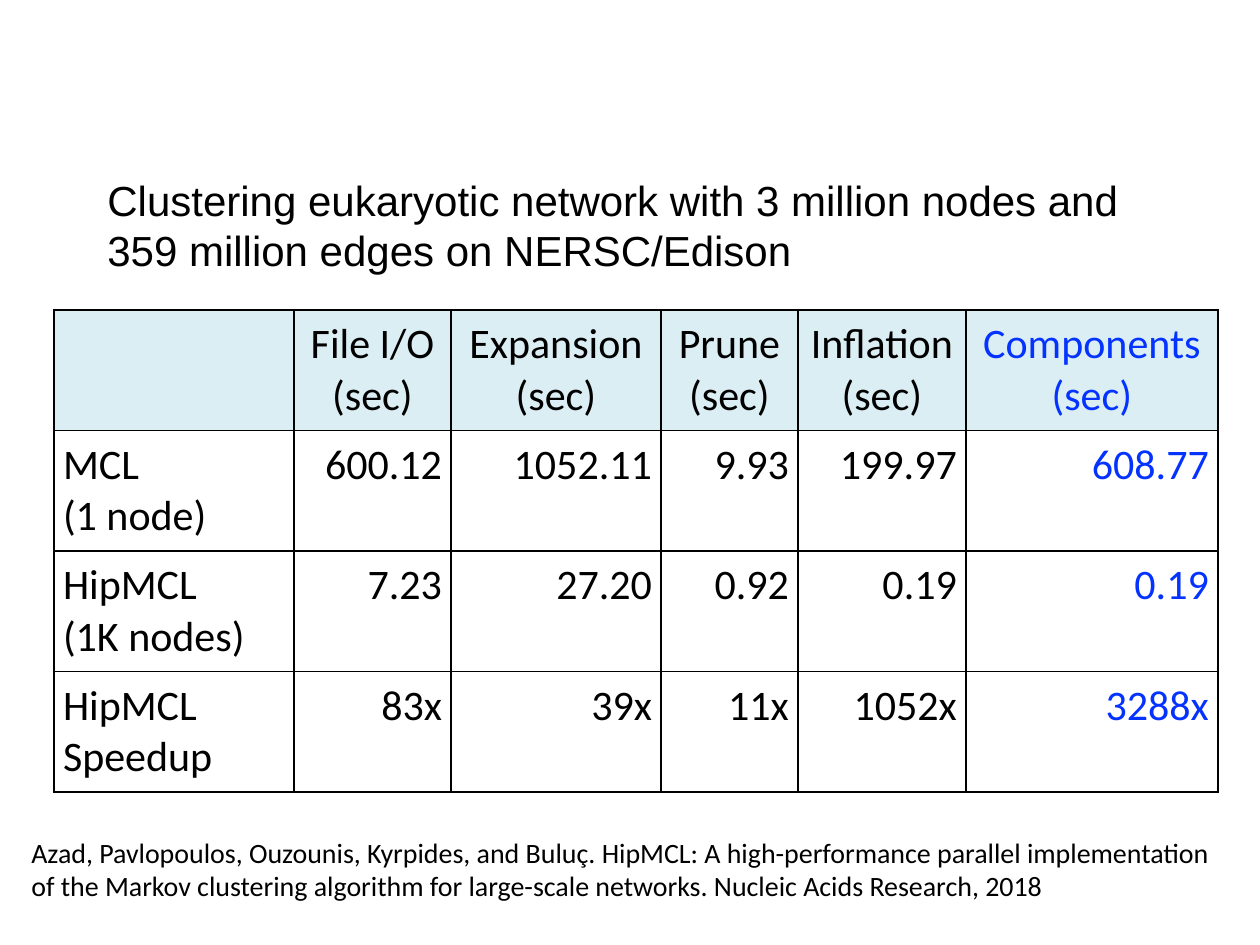
"""Build a slide with a table of clustering run times."""
from lxml.etree import SubElement
from pptx import Presentation
from pptx.dml.color import RGBColor
from pptx.enum.text import MSO_AUTO_SIZE, PP_ALIGN
from pptx.oxml.ns import qn
from pptx.util import Pt

SCALE = 914400 // 126
COLORS = {"text": "000000", "accent": "0432FF", "header": "DBEEF4", "body": "FFFFFF", "border": "000000"}


def write_text(text_frame, text, font_name, size, color="text", alignment=PP_ALIGN.LEFT):
    text_frame.text = text
    for paragraph in text_frame.paragraphs:
        paragraph.alignment = alignment
        paragraph.font.name = font_name
        paragraph.font.size = Pt(size)
        paragraph.font.color.rgb = RGBColor.from_string(COLORS[color])


def draw_borders(cell):
    properties = cell._tc.get_or_add_tcPr()
    for position, side in enumerate(("a:lnL", "a:lnR", "a:lnT", "a:lnB")):
        line = properties.makeelement(qn(side), {"w": str(Pt(1))})
        properties.insert(position, line)
        fill = SubElement(line, qn("a:solidFill"))
        SubElement(fill, qn("a:srgbClr"), val=COLORS["border"])


presentation = Presentation()
presentation.slide_width = 1260 * SCALE
presentation.slide_height = 945 * SCALE
slide = presentation.slides.add_slide(presentation.slide_layouts[6])

rows = [
    ["", "File I/O\n(sec)", "Expansion\n(sec)", "Prune\n(sec)", "Inflation\n(sec)", "Components\n(sec)"],
    ["MCL\n(1 node)", "600.12", "1052.11", "9.93", "199.97", "608.77"],
    ["HipMCL\n(1K nodes)", "7.23", "27.20", "0.92", "0.19", "0.19"],
    ["HipMCL Speedup", "83x", "39x", "11x", "1052x", "3288x"],
]
column_widths = [240, 157, 210, 137, 168, 252]
row_height = 120
table = slide.shapes.add_table(
    len(rows), len(column_widths), 54 * SCALE, 310 * SCALE,
    sum(column_widths) * SCALE, row_height * len(rows) * SCALE,
).table
table.first_row = False
table.horz_banding = False
for column, width in zip(table.columns, column_widths):
    column.width = width * SCALE

for row_index, row in enumerate(rows):
    for column_index, text in enumerate(row):
        cell = table.cell(row_index, column_index)
        cell.margin_left = cell.margin_right = cell.margin_top = cell.margin_bottom = 9 * SCALE
        cell.fill.solid()
        cell.fill.fore_color.rgb = RGBColor.from_string(COLORS["body" if row_index else "header"])
        if row_index == 0:
            alignment = PP_ALIGN.CENTER
        else:
            alignment = PP_ALIGN.RIGHT if column_index else PP_ALIGN.LEFT
        color = "accent" if column_index == len(row) - 1 else "text"
        write_text(cell.text_frame, text, "Calibri", 24, color, alignment)
        draw_borders(cell)

heading = "Clustering eukaryotic network with 3 million nodes and 359 million edges on NERSC/Edison"
citation = (
    "Azad, Pavlopoulos, Ouzounis, Kyrpides, and Buluç. HipMCL: A high-performance parallel implementation\n"
    "of the Markov clustering algorithm for large-scale networks. Nucleic Acids Research, 2018"
)
text_boxes = [
    (heading, (95, 168, 1103, 115), "Arial", 24, True),
    (citation, (19, 829, 1223, 81), "Calibri", 16, False),
]
for text, bounds, font_name, size, wraps in text_boxes:
    text_frame = slide.shapes.add_textbox(*(length * SCALE for length in bounds)).text_frame
    text_frame.word_wrap = wraps
    text_frame.auto_size = MSO_AUTO_SIZE.SHAPE_TO_FIT_TEXT
    write_text(text_frame, text, font_name, size)

presentation.save("out.pptx")
